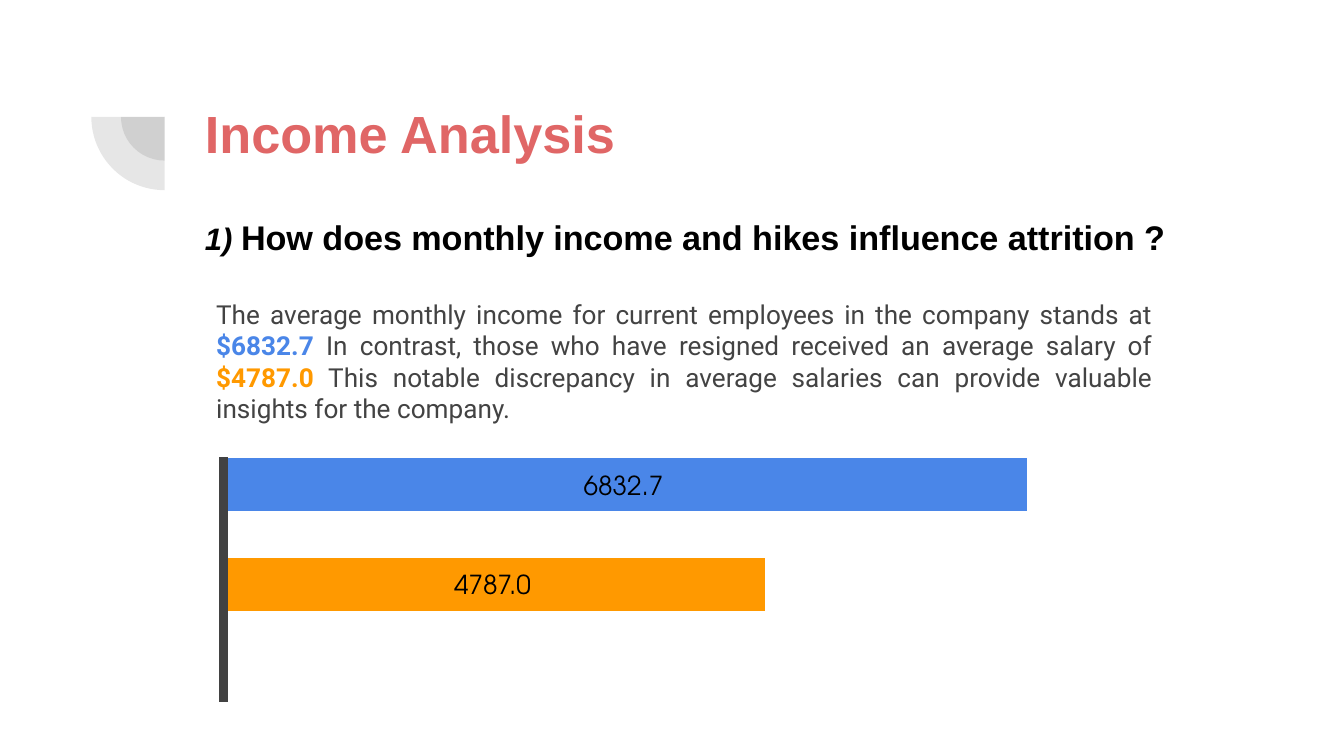
from dataclasses import dataclass

from lxml.etree import SubElement
from pptx import Presentation
from pptx.dml.color import RGBColor
from pptx.enum.shapes import MSO_SHAPE
from pptx.enum.text import MSO_ANCHOR, MSO_AUTO_SIZE, PP_ALIGN
from pptx.oxml.ns import qn
from pptx.shapes.autoshape import Shape
from pptx.slide import Slide
from pptx.text.text import TextFrame
from pptx.util import Emu, Pt

EMU_PER_PX = 4572

WHITE = RGBColor(0xFF, 0xFF, 0xFF)
BLACK = RGBColor(0x00, 0x00, 0x00)
CORAL = RGBColor(0xE0, 0x66, 0x66)
BLUE = RGBColor(0x4A, 0x86, 0xE8)
ORANGE = RGBColor(0xFF, 0x99, 0x00)
CHARCOAL = RGBColor(0x42, 0x42, 0x42)
BODY_GREY = RGBColor(0x43, 0x43, 0x43)


@dataclass(frozen=True)
class Box:
    left: int
    top: int
    width: int
    height: int

    def emu(self) -> tuple[Emu, ...]:
        return tuple(px(n) for n in (self.left, self.top, self.width, self.height))


@dataclass(frozen=True)
class SalaryBar:
    label: str
    width: int
    color: RGBColor


@dataclass(frozen=True)
class Phrase:
    text: str
    color: RGBColor = BODY_GREY
    bold: bool = False


BARS = (SalaryBar("6832.7", 1202, BLUE), SalaryBar("4787.0", 812, ORANGE))
BAR_LEFT, BAR_TOP, BAR_HEIGHT, BAR_PITCH = 327, 681, 81, 148

SUMMARY = (
    Phrase("The average monthly income for current employees in the company stands at "),
    Phrase("$6832.7", BLUE, True),
    Phrase(" In contrast, those who have resigned received an average salary of "),
    Phrase("$4787.0", ORANGE, True),
    Phrase(
        " This notable discrepancy in average salaries can provide valuable "
        "insights for the company."
    ),
)


def px(length: int) -> Emu:
    return Emu(length * EMU_PER_PX)


def place(shape: Shape, box: Box) -> None:
    shape.left, shape.top, shape.width, shape.height = box.emu()


def format_frame(frame: TextFrame, anchor: MSO_ANCHOR = MSO_ANCHOR.TOP) -> None:
    frame.word_wrap = True
    frame.auto_size = MSO_AUTO_SIZE.NONE
    frame.vertical_anchor = anchor
    frame.margin_left = frame.margin_right = px(20)
    frame.margin_top = frame.margin_bottom = px(20)


def add_quarter(slide: Slide, center_x: int, center_y: int, diameter: int) -> None:
    box = Box(center_x - diameter // 2, center_y - diameter // 2, diameter, diameter)
    quarter = slide.shapes.add_shape(MSO_SHAPE.PIE, *box.emu())
    quarter.adjustments[0] = 108
    quarter.adjustments[1] = 162
    quarter.rotation = 270
    quarter.shadow.inherit = False
    quarter.line.fill.background()
    quarter.fill.solid()
    quarter.fill.fore_color.rgb = CHARCOAL
    color = quarter.fill._xPr.find(qn("a:solidFill")).find(qn("a:srgbClr"))
    SubElement(color, qn("a:alpha"), val="13000")


def add_block(slide: Slide, box: Box, fill: RGBColor, outline: RGBColor) -> Shape:
    block = slide.shapes.add_shape(MSO_SHAPE.RECTANGLE, *box.emu())
    block.shadow.inherit = False
    block.fill.solid()
    block.fill.fore_color.rgb = fill
    block.line.color.rgb = outline
    block.line.width = Pt(0.75)
    SubElement(block.line._get_or_add_ln(), qn("a:miter"), lim="800000")
    return block


def add_salary_bar(slide: Slide, row: int, bar: SalaryBar) -> None:
    box = Box(BAR_LEFT, BAR_TOP + row * BAR_PITCH, bar.width, BAR_HEIGHT)
    frame = add_block(slide, box, bar.color, WHITE).text_frame
    format_frame(frame, MSO_ANCHOR.MIDDLE)
    value = frame.paragraphs[0]
    value.text = bar.label
    value.alignment = PP_ALIGN.CENTER
    value.font.name = "TeX Gyre Adventor"
    value.font.size = Pt(14)
    value.font.color.rgb = BLACK


def fill_title(slide: Slide) -> None:
    title = slide.shapes.title
    place(title, Box(285, 130, 1538, 218))
    format_frame(title.text_frame)
    heading = title.text_frame.paragraphs[0]
    heading.text = "Income Analysis"
    heading.alignment = PP_ALIGN.LEFT
    heading.font.name = "Arial"
    heading.font.size = Pt(28)
    heading.font.bold = True
    heading.font.color.rgb = CORAL


def fill_question(slide: Slide) -> None:
    body = slide.placeholders[1]
    place(body, Box(285, 302, 1538, 130))
    format_frame(body.text_frame)
    question = body.text_frame.paragraphs[0]
    question.space_before = Pt(10)
    question.font.name = "Arial"
    question.font.bold = True
    question.font.color.rgb = BLACK
    properties = question._p.get_or_add_pPr()
    properties.set("marL", "0")
    properties.set("indent", "0")
    properties.insert_element_before(
        properties.makeelement(qn("a:buNone")), "a:tabLst", "a:defRPr", "a:extLst"
    )
    number = question.add_run()
    number.text = "1) "
    number.font.size = Pt(16.6)
    number.font.italic = True
    wording = question.add_run()
    wording.text = "How does monthly income and hikes influence attrition ?"
    wording.font.size = Pt(18.25)


def add_summary(slide: Slide) -> None:
    frame = slide.shapes.add_textbox(*Box(302, 424, 1433, 228).emu()).text_frame
    format_frame(frame)
    frame.auto_size = MSO_AUTO_SIZE.SHAPE_TO_FIT_TEXT
    summary = frame.paragraphs[0]
    summary.alignment = PP_ALIGN.JUSTIFY
    summary.space_before = Pt(10)
    summary.font.name = "Roboto"
    summary.font.size = Pt(14)
    for phrase in SUMMARY:
        run = summary.add_run()
        run.text = phrase.text
        run.font.bold = phrase.bold
        run.font.color.rgb = phrase.color


def main() -> None:
    presentation = Presentation()
    presentation.slide_width = px(2000)
    presentation.slide_height = px(1125)
    slide = presentation.slides.add_slide(presentation.slide_layouts[1])
    for diameter in (130, 218):
        add_quarter(slide, 245, 174, diameter)
    fill_title(slide)
    fill_question(slide)
    add_summary(slide)
    for row, bar in enumerate(BARS):
        add_salary_bar(slide, row, bar)
    add_block(slide, Box(BAR_LEFT, BAR_TOP, 12, 362), CHARCOAL, CHARCOAL)
    presentation.save("out.pptx")


if __name__ == "__main__":
    main()
